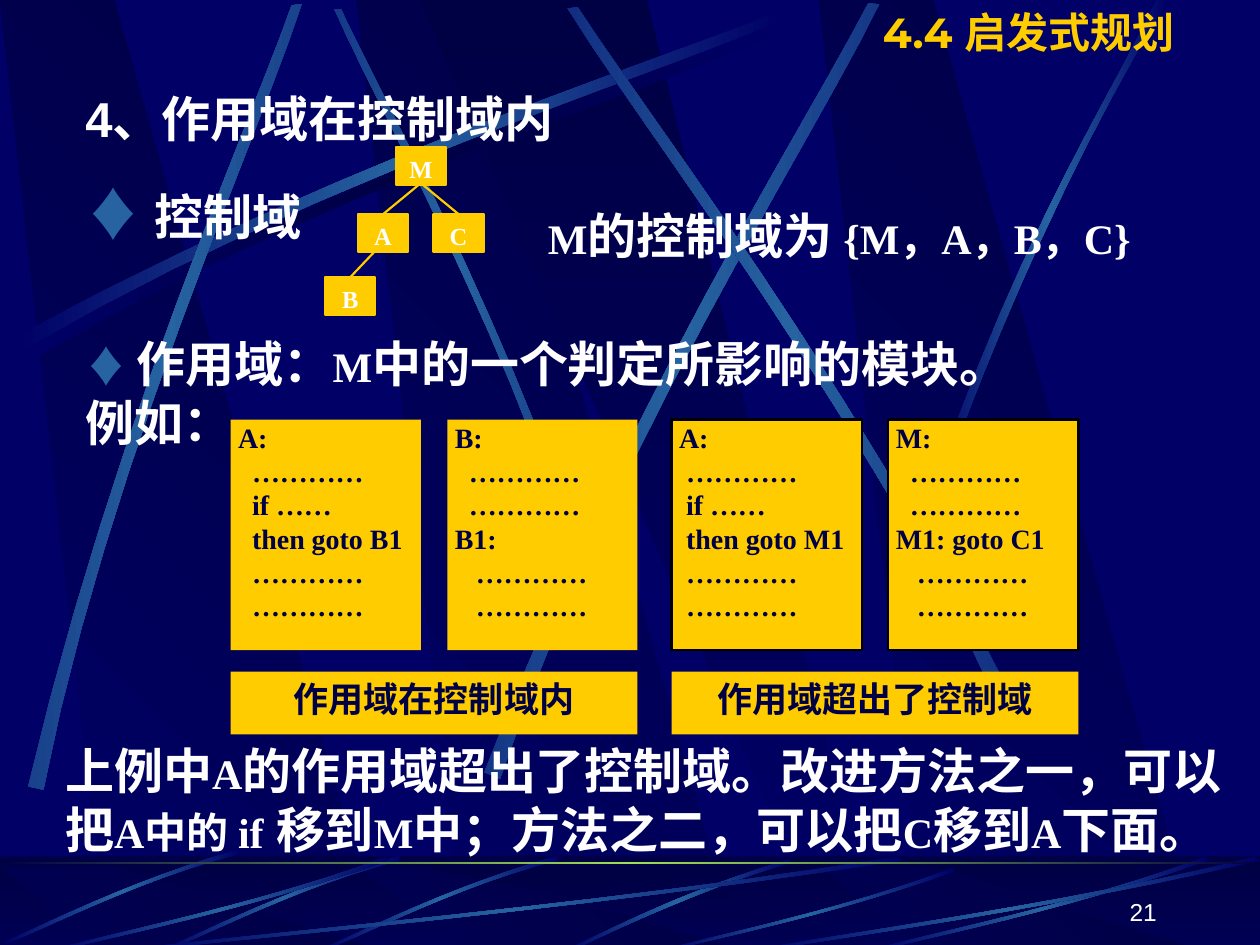
from dataclasses import dataclass

from lxml import etree
from pptx import Presentation
from pptx.dml.color import RGBColor
from pptx.enum.shapes import MSO_CONNECTOR, MSO_SHAPE
from pptx.enum.text import MSO_ANCHOR, PP_ALIGN
from pptx.oxml import parse_xml
from pptx.oxml.ns import nsdecls, qn
from pptx.util import Inches, Pt

RECT, STRAIGHT = MSO_SHAPE.RECTANGLE, MSO_CONNECTOR.STRAIGHT
LEFT, CENTER, RIGHT, JUSTIFY = PP_ALIGN.LEFT, PP_ALIGN.CENTER, PP_ALIGN.RIGHT, PP_ALIGN.JUSTIFY
TOP, MIDDLE, BOTTOM = MSO_ANCHOR.TOP, MSO_ANCHOR.MIDDLE, MSO_ANCHOR.BOTTOM


@dataclass(frozen=True)
class Theme:
    navy: str = "000066"
    dark: str = "000044"
    streak: str = "2663A0"
    glow: str = "9CE157"
    gold: str = "FFCC00"
    white: str = "FFFFFF"
    black: str = "000000"
    serif: str = "Times New Roman"
    sans: str = "Arial"
    display: str = "Montserrat"
    diamond: int = 32
    main: int = 28
    latin: int = 24
    caption: int = 20
    code: int = 16
    small: int = 14


T = Theme()
WIDTH, HEIGHT = 10, 7.5

# Text: each paragraph is a list of (text, size) or (text, size, overrides) runs
TITLE = [[("4.4 启发式规划", T.latin)]]
HEADING = [[("4、作用域在控制域内", T.main)],
           [("♦ ", T.diamond, {"color": T.streak}), ("控制域", T.main)]]
CONTROL_SCOPE = [[("M", T.latin), ("的控制域为 ", T.main), ("{M，A，B，C}", T.latin)]]
EFFECT_SCOPE = [[("♦ ", T.latin, {"color": T.streak, "name": T.sans}), ("作用域：", T.main),
                 ("M", T.latin), ("中的一个判定所影响的模块。", T.main)],
                [("例如：", T.main)]]
CONCLUSION = [[("上例中", T.main), ("A", T.latin),
               ("的作用域超出了控制域。改进方法之一，可以把", T.main), ("A中的 if", T.latin),
               (" 移到", T.main), ("M", T.latin), ("中；方法之二，可以把", T.main),
               ("C", T.latin), ("移到", T.main), ("A", T.latin), ("下面。", T.main)]]
PAGE_NUMBER = [[("21", T.small)]]

NODE_W, NODE_H = 0.4, 0.3
NODES = {"M": (3.14, 1.17), "A": (2.84, 1.7), "C": (3.44, 1.7), "B": (2.58, 2.2)}
LINKS = [("M", "A", -0.02), ("M", "C", 0.02), ("A", "B", -0.07)]  # parent, child, start shift

EXAMPLES = [
    ("作用域在控制域内", 1.83, None,
     [["A:", "  …………", "  if ……", "  then goto B1", "  …………", "  …………"],
      ["B:", "  …………", "  …………", "B1:", "   …………", "   …………"]]),
    ("作用域超出了控制域", 5.33, T.black,
     [["A:", " …………", " if ……", " then goto M1", " …………", " …………"],
      ["M:", "  …………", "  …………", "M1: goto C1", "   …………", "   …………"]]),
]
CODE_W, CODE_H, CODE_PITCH, CODE_TOP = 1.51, 1.83, 1.72, 3.33
CAPTION_TOP, CAPTION_H = 5.33, 0.5

# Backdrop outlines in unit-square shares
PANEL = [(0.28, 1), (1, 1), (0.3, 0), (0, 0)]
WEDGE = [(0, 0), (0.9, 1), (1, 1), (0.5, 0)]
PANEL_LEFTS, PANEL_W, WEDGE_LEFT, WEDGE_W = (2.83, 0, 6.5), 3.02, 3.33, 3.61
# Streaks: two Bezier edges of four points each
SWEEP = [(0, 0.96), (0.43, 0.43), (0.83, 0.15), (0.99, 0),
         (1, 0.02), (0.83, 0.19), (0.38, 0.5), (0.01, 1)]
SHORT_SWEEP = [(0.99, 0), (0.49, 0.37), (0.16, 0.82), (0, 0.99),
               (0.03, 1), (0.23, 0.75), (0.68, 0.25), (1, 0.04)]
STEEP_SWEEP = [(0, 0.99), (0.4, 0.44), (0.79, 0.17), (0.95, 0),
               (1, 0), (0.52, 0.37), (0.16, 0.81), (0.03, 1)]
FLIP_X = [(1 - x, y) for x, y in SWEEP]
FLIP_XY = [(1 - x, 1 - y) for x, y in SWEEP]
UPPER_STREAKS = [  # outline, box, rotation, middle colour
    (SWEEP, (0.2, 0.18, 6.08, 2.67), 0, T.dark),
    (FLIP_X, (1.41, 1.35, 4.42, 1.75), 45, T.streak),
    (SWEEP, (0.14, 0.1, 6.08, 2.67), 0, T.streak),
    (SWEEP, (-1.71, 1.82, 6.08, 2.67), 311.7, T.streak),
    (SWEEP, (2.31, 1.6, 6.24, 3.01), 321.6, T.streak),
    (FLIP_X, (3.23, 1.52, 6.08, 2.67), 34.8, T.streak),
    (STEEP_SWEEP, (7.38, 0, 1.89, 3.97), 0, T.streak),
]
FOOTER_STREAKS = [(SHORT_SWEEP, (4.48, 6.82, 1.8, 0.73), 0, T.streak)] + [
    (FLIP_X, (left, top, 1.84, 0.83), 314.9, T.streak)
    for left, top in ((2.58, 6.76), (1.33, 6.76), (0.05, 6.71))] + [
    (FLIP_XY, (left, 7.55 - height, width, height), 0, T.streak)
    for left, width, height in ((1, 6.17, 0.75), (0.42, 2.67, 0.75), (5.27, 2.31, 0.66),
                                (6.92, 2.67, 0.75), (6, 4, 0.75))]


def rgb(color):
    return RGBColor.from_string(color)


def inches(values):
    return [Inches(value) for value in values]


def set_gradient(shape, colors, angle):
    """Spread colours evenly at a clockwise angle that stays fixed to the page."""
    stops = "".join(f'<a:gs pos="{100000 * i // (len(colors) - 1)}"><a:srgbClr val="{c}"/></a:gs>'
                    for i, c in enumerate(colors))
    shape.fill.background()
    properties = shape._element.spPr
    properties.replace(properties.find(qn("a:noFill")), parse_xml(
        f'<a:gradFill rotWithShape="0" {nsdecls("a")}><a:gsLst>{stops}</a:gsLst>'
        f'<a:lin ang="{angle * 60000}" scaled="1"/></a:gradFill>'))


def add_outline(slide, unit_points, box, colors, angle, rotation=0):
    left, top, width, height = box
    points = [inches((left + x * width, top + y * height)) for x, y in unit_points]
    builder = slide.shapes.build_freeform(*points[0], scale=1.0)
    builder.add_line_segments(points[1:], close=True)
    shape = builder.convert_to_shape()
    shape.shadow.inherit = False
    shape.line.fill.background()
    shape.rotation = rotation
    set_gradient(shape, colors, angle)


def bezier(p0, p1, p2, p3, steps=12):
    for t in (i / steps for i in range(steps + 1)):
        weights = ((1 - t) ** 3, 3 * t * (1 - t) ** 2, 3 * t * t * (1 - t), t ** 3)
        yield tuple(sum(w * v for w, v in zip(weights, axis)) for axis in zip(p0, p1, p2, p3))


def add_streaks(slide, streaks):
    for outline, box, rotation, middle in streaks:
        edges = [*bezier(*outline[:4]), *bezier(*outline[4:])]
        add_outline(slide, edges, box, (T.navy, middle, T.navy), 0, rotation)


def add_panels(slide, top, height):
    for left in PANEL_LEFTS:
        add_outline(slide, PANEL, (left, top, PANEL_W, height), (T.navy, T.dark), 315)
    add_outline(slide, WEDGE, (WEDGE_LEFT, top, WEDGE_W, height), (T.dark, T.navy), 90)


def add_rect(slide, box, fill=T.gold, line=None):
    shape = slide.shapes.add_shape(RECT, *inches(box))
    shape.shadow.inherit = False
    shape.fill.solid()
    shape.fill.fore_color.rgb = rgb(fill)
    if line:
        shape.line.color.rgb = rgb(line)
        shape.line.width = Pt(1.25)
    else:
        shape.line.fill.background()
    return shape


def write(shape, paragraphs, color=T.white, name=T.serif, bold=True, anchor=TOP,
          margins=(0.1, 0.05, 0.1, 0.05), **layout):
    frame = shape.text_frame
    frame.word_wrap, frame.vertical_anchor = True, anchor
    for side, margin in zip(("left", "top", "right", "bottom"), margins):
        setattr(frame, f"margin_{side}", Inches(margin))
    for i, runs in enumerate(paragraphs):
        paragraph = frame.add_paragraph() if i else frame.paragraphs[0]
        for key, value in ({"alignment": LEFT} | layout).items():
            setattr(paragraph, key, value)
        for text, size, *overrides in runs:
            run = paragraph.add_run()
            run.text = text
            style = {"color": color, "name": name, "bold": bold, "size": Pt(size)}
            style.update(*overrides)
            run.font.color.rgb = rgb(style.pop("color"))
            for key, value in style.items():
                setattr(run.font, key, value)


def add_text(slide, box, paragraphs, **options):
    shape = slide.shapes.add_textbox(*inches(box))
    write(shape, paragraphs, **options)
    return shape


def add_backdrop(slide):
    slide.background.fill.solid()
    slide.background.fill.fore_color.rgb = rgb(T.navy)
    add_panels(slide, 0, HEIGHT)
    add_streaks(slide, UPPER_STREAKS)
    set_gradient(add_rect(slide, (0, 6.8, WIDTH, 0.7)), (T.dark, T.navy), 90)
    add_panels(slide, 6.88, 0.66)
    veil = add_rect(slide, (0, 6.79, WIDTH, 0.71), T.dark)
    veil_color = veil._element.spPr.find(qn("a:solidFill"))[0]
    etree.SubElement(veil_color, qn("a:alpha"), val="50000")
    add_streaks(slide, FOOTER_STREAKS)
    set_gradient(add_rect(slide, (0, 6.84, WIDTH, 0.02)), (T.dark, T.glow, T.dark), 0)


def add_module_tree(slide):
    for label, corner in NODES.items():
        node = add_rect(slide, (*corner, NODE_W, NODE_H), line=T.gold)
        write(node, [[(label, T.small)]], margins=(0.02, 0.01, 0.02, 0),
              alignment=CENTER, line_spacing=1.2)
    for parent, child, shift in LINKS:
        (x1, y1), (x2, y2) = NODES[parent], NODES[child]
        link = slide.shapes.add_connector(STRAIGHT, *inches(
            (x1 + NODE_W / 2 + shift, y1 + NODE_H, x2 + NODE_W / 2, y2)))
        link.line.color.rgb = rgb(T.gold)
        link.line.width = Pt(1.25)
        etree.SubElement(link._element.spPr, qn("a:effectLst"))


def add_examples(slide):
    for caption, left, border, modules in EXAMPLES:
        for i, lines in enumerate(modules):
            box = (left + i * CODE_PITCH, CODE_TOP, CODE_W, CODE_H)
            write(add_rect(slide, box, line=border), [[(line, T.code)] for line in lines],
                  color=T.dark, margins=(0.06, 0.01, 0.06, 0.01), alignment=JUSTIFY)
        bar = add_rect(slide, (left, CAPTION_TOP, CODE_PITCH + CODE_W, CAPTION_H))
        write(bar, [[(caption, T.caption)]], color=T.dark, alignment=CENTER)


def main():
    prs = Presentation()
    prs.slide_width, prs.slide_height = inches((WIDTH, HEIGHT))
    slide = prs.slides.add_slide(prs.slide_layouts[5])
    add_backdrop(slide)
    add_text(slide, (7.2, 6.9, 2.08, 0.5), PAGE_NUMBER, name=T.sans, bold=False,
             anchor=BOTTOM, alignment=RIGHT)
    heading = add_text(slide, (0.58, 0.51, 4.42, 1.58), HEADING, name=T.sans, line_spacing=1.3)
    heading.text_frame.paragraphs[1].space_before = Pt(7)
    add_module_tree(slide)
    add_text(slide, (4.25, 1.67, 5.17, 0.8), CONTROL_SCOPE, line_spacing=0.8)
    add_text(slide, (0.58, 2.6, 8.5, 1.25), EFFECT_SCOPE)
    add_examples(slide)
    add_text(slide, (0.42, 5.83, 9.58, 1.5), CONCLUSION)
    title = slide.shapes.title
    title.left, title.top, title.width, title.height = inches((6.33, 0, 3.67, 0.5))
    write(title, TITLE, color=T.gold, name=T.display, anchor=MIDDLE, alignment=CENTER)
    slide.shapes._spTree.append(title._element)  # bring in front of the backdrop
    prs.save("out.pptx")


if __name__ == "__main__":
    main()
